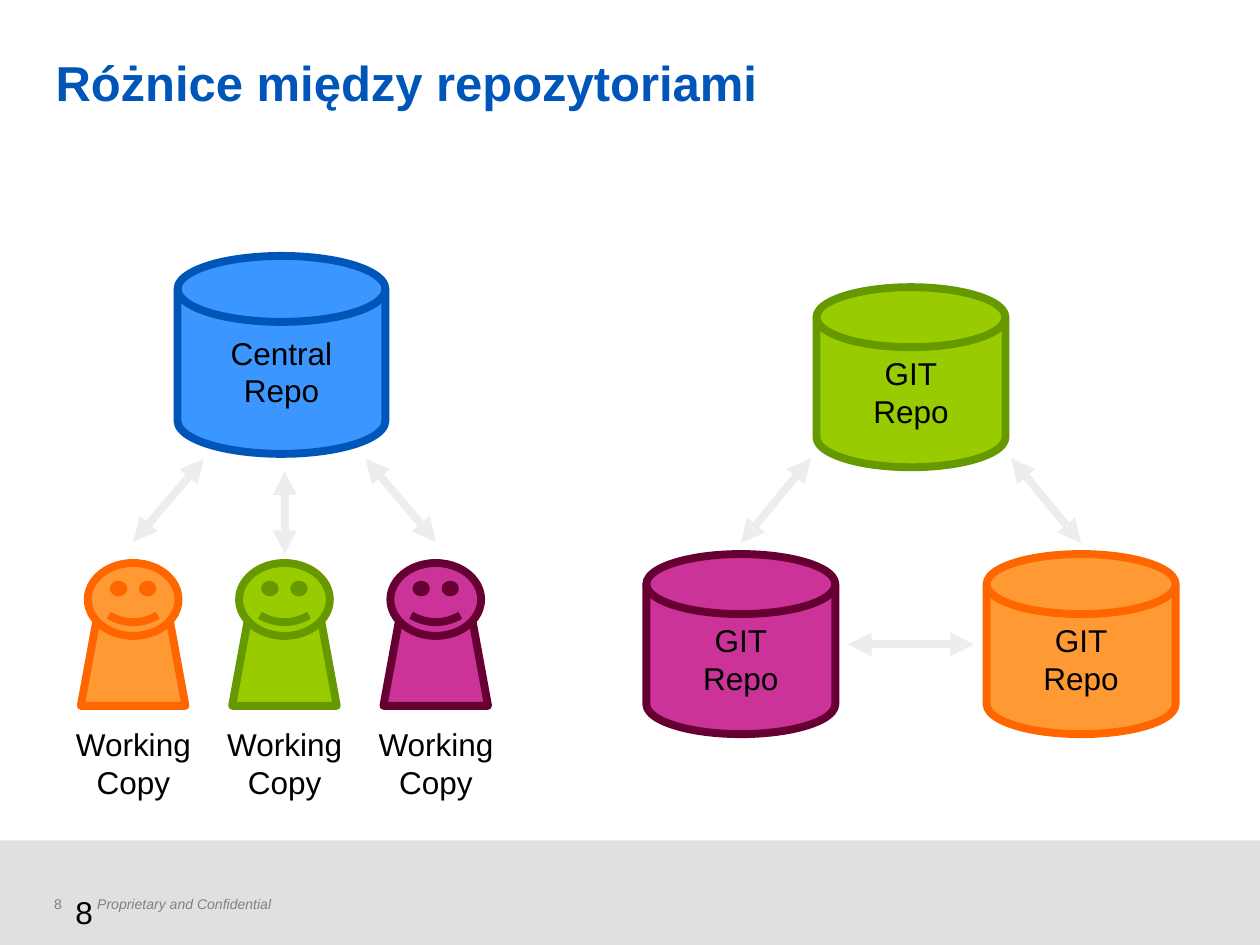
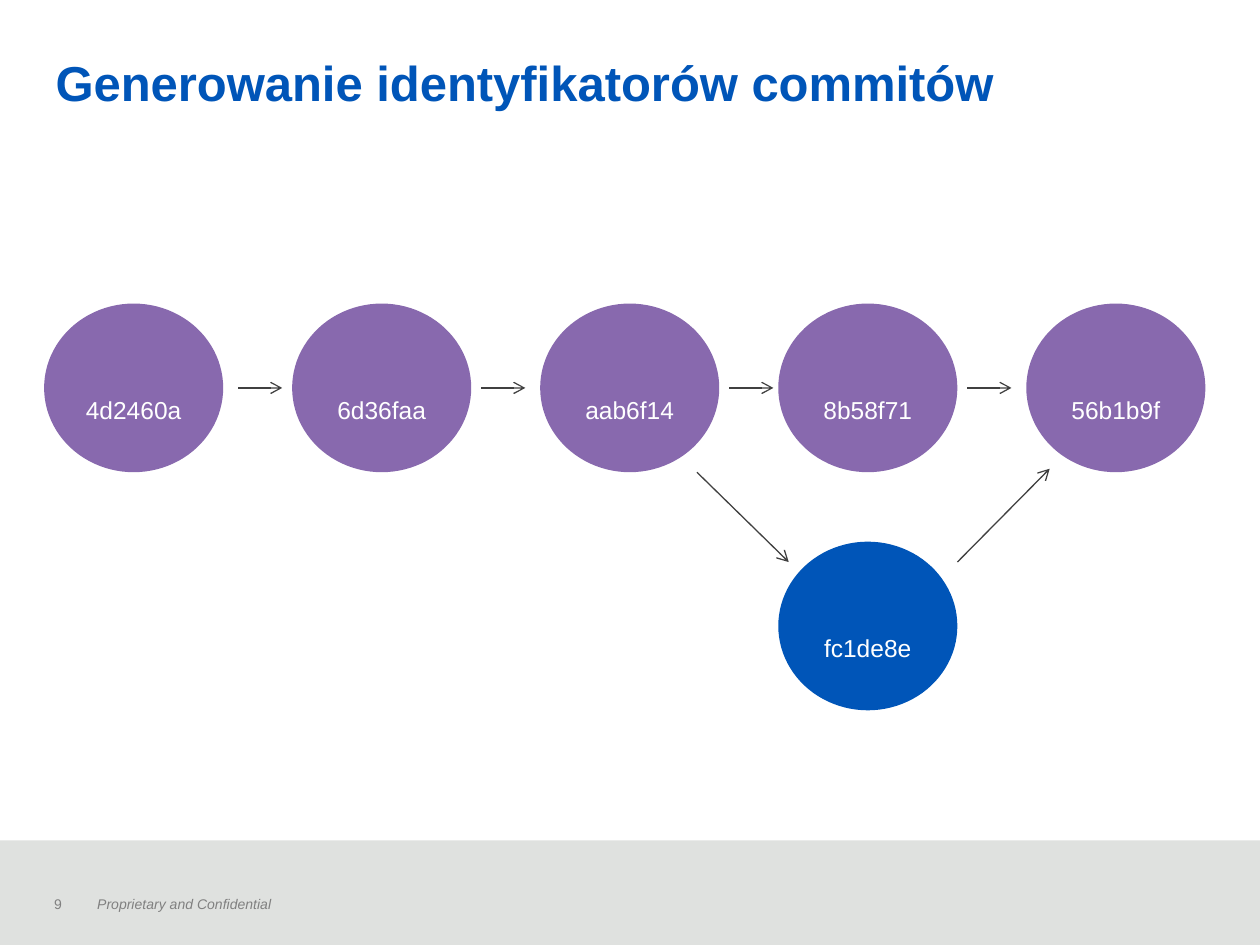
import dataclasses

import lxml.etree
import pptx
import pptx.dml.color
import pptx.enum.shapes
import pptx.enum.text
import pptx.oxml.ns
import pptx.util

Cm = pptx.util.Cm
Pt = pptx.util.Pt
Preset = pptx.enum.shapes.MSO_SHAPE
Anchor = pptx.enum.text.MSO_ANCHOR
Align = pptx.enum.text.PP_ALIGN

FONT = "Arial"
PAGE_WIDTH, PAGE_HEIGHT = 25.4, 19.05
COLOURS = {
    "title": "0055B8",
    "band": "DFE1DF",
    "footer": "808080",
    "text": "000000",
    "light_text": "FFFFFF",
    "sync_arrow": "ECEDEC",
    "commit_arrow": "404040",
    "commit": "8869AE",
    "branch_commit": "0055B8",
    "blue": "3B96FF",
    "blue_edge": "0055B8",
    "green": "99CC00",
    "green_edge": "669900",
    "orange": "FF9933",
    "orange_edge": "FF6600",
    "magenta": "CC3399",
    "magenta_edge": "660033",
}


@dataclasses.dataclass
class Box:
    """A rectangle in centimetres."""
    left: float
    top: float
    width: float
    height: float

    def inner(self, left, top, width, height):
        """Return a box whose corner is given relative to this one."""
        return Box(self.left + left, self.top + top, width, height)

    def point(self, x, y):
        return self.left + x, self.top + y

    def lengths(self):
        return [Cm(value) for value in dataclasses.astuple(self)]


def colour(name):
    return pptx.dml.color.RGBColor.from_string(COLOURS[name])


def write(frame, lines, size, colour_name, align=Align.LEFT, bold=False,
          italic=False, spacing=None):
    """Fill a text frame with one paragraph per line."""
    for index, line in enumerate(lines):
        para = frame.add_paragraph() if index else frame.paragraphs[0]
        para.alignment = align
        if spacing:
            para.line_spacing = spacing
        span = para.add_run()
        span.text = line
        span.font.name = FONT
        span.font.size = Pt(size)
        span.font.bold = bold
        span.font.italic = italic
        span.font.color.rgb = colour(colour_name)


def clear_margins(frame):
    frame.margin_left = frame.margin_right = 0
    frame.margin_top = frame.margin_bottom = 0


def add_label(page, box, lines, size, colour_name, wrap=True, margins=True,
              **style):
    label = page.shapes.add_textbox(*box.lengths())
    label.text_frame.word_wrap = wrap
    if not margins:
        clear_margins(label.text_frame)
    write(label.text_frame, lines, size, colour_name, **style)


def add_preset(page, preset, box, fill, edge=None):
    shape = page.shapes.add_shape(preset, *box.lengths())
    shape.shadow.inherit = False
    shape.fill.solid()
    shape.fill.fore_color.rgb = colour(fill)
    if edge:
        shape.line.color.rgb = colour(edge)
        shape.line.width = Pt(4.5)
    else:
        shape.line.fill.background()
    return shape


def add_arrow(page, start, end, colour_name, width, head=None, tail=None):
    arrow = page.shapes.add_connector(
        pptx.enum.shapes.MSO_CONNECTOR.STRAIGHT,
        *(Cm(value) for value in (*start, *end)))
    arrow.line.color.rgb = colour(colour_name)
    arrow.line.width = Pt(width)
    properties = arrow._element.spPr
    outline = properties.find(pptx.oxml.ns.qn("a:ln"))
    for tag, kind in (("a:headEnd", head), ("a:tailEnd", tail)):
        if kind:
            lxml.etree.SubElement(outline, pptx.oxml.ns.qn(tag), type=kind)
    lxml.etree.SubElement(properties, pptx.oxml.ns.qn("a:effectLst"))


def add_sync_arrow(page, start, end):
    add_arrow(page, start, end, "sync_arrow", 4.5, "triangle", "triangle")


def add_commit_arrow(page, start, end):
    add_arrow(page, start, end, "commit_arrow", 0.75, tail="arrow")


def add_page(deck, title, number):
    """Add a slide with the shared title, band and footer."""
    page = deck.slides.add_slide(deck.slide_layouts[5])
    add_footer(page, Box(0, 16.94, PAGE_WIDTH, PAGE_HEIGHT - 16.94), number)
    heading = page.shapes.title
    heading.left, heading.top, heading.width, heading.height = Box(
        1.12, 0.97, 23.22, 1.35).lengths()
    frame = heading.text_frame
    clear_margins(frame)
    frame.auto_size = pptx.enum.text.MSO_AUTO_SIZE.NONE
    frame.vertical_anchor = Anchor.MIDDLE
    write(frame, [title], 28, "title", bold=True)
    return page


def add_footer(page, box, number):
    add_preset(page, Preset.RECTANGLE, box, "band")
    add_label(page, box.inner(0.84, 0.99, 1.24, 0.61), [str(number)], 8,
              "footer")
    add_label(page, box.inner(1.96, 1.12, 15.67, 0.33),
              ["Proprietary and Confidential"], 8, "footer", margins=False,
              italic=True)


def add_repository(page, box, lines, hue):
    disk = add_preset(page, Preset.FLOWCHART_MAGNETIC_DISK, box, hue,
                      f"{hue}_edge")
    disk.text_frame.word_wrap = True
    disk.text_frame.vertical_anchor = Anchor.MIDDLE
    write(disk.text_frame, lines, 18, "text", Align.CENTER)


def add_user(page, box, hue):
    """Draw a figure with its working copy label below."""
    middle = box.width / 2
    body = add_preset(page, Preset.TRAPEZOID,
                      box.inner(middle - 1.06, 1.13, 2.11, 1.75),
                      hue, f"{hue}_edge")
    body.adjustments[0] = 0.183
    add_preset(page, Preset.SMILEY_FACE,
               box.inner(middle - 0.92, 0, 1.83, 1.47), hue, f"{hue}_edge")
    add_label(page, box.inner(0, 3.15, box.width, 1.8), ["Working", "Copy"],
              18, "text", wrap=False, align=Align.CENTER)


def add_central_model(page, box):
    add_repository(page, box.inner(2.34, 0, 4.19, 3.99), ["Central Repo"],
                   "blue")
    middle, pitch, user_width = box.width / 2, 3.05, 2.84
    for side, hue in zip((-1, 0, 1), ("orange", "green", "magenta")):
        centre = middle + side * pitch
        add_user(page, box.inner(centre - user_width / 2, 6.19,
                                 user_width, 4.95), hue)
        drop = 0 if side else 0.25
        add_sync_arrow(page, box.point(middle + side * 1.63, 4.09 + drop),
                       box.point(centre, 5.76 + drop))


def add_distributed_model(page, box):
    width, height = 3.81, 3.63
    middle, low = box.width / 2, box.height - height
    for left, top, hue in ((middle - width / 2, 0, "green"),
                           (0, low, "magenta"),
                           (box.width - width, low, "orange")):
        add_repository(page, box.inner(left, top, width, height),
                       ["GIT", "Repo"], hue)
    for side in (-1, 1):
        add_sync_arrow(page, box.point(middle + side * 2.02, 3.45),
                       box.point(middle + side * 3.43, 5.16))
    add_sync_arrow(page, box.point(middle - 1.27, 7.2),
                   box.point(middle + 1.27, 7.2))


def add_commit(page, box, identifier, fill):
    circle = add_preset(page, Preset.OVAL, box, fill)
    circle.text_frame.word_wrap = True
    circle.text_frame.vertical_anchor = Anchor.MIDDLE
    write(circle.text_frame, [identifier], 14, "light_text", Align.CENTER,
          spacing=2.5)


def add_commit_graph(page, box):
    width, height, arrow_length = 3.61, 3.4, 0.89
    commits = (("4d2460a", 0, 0.3), ("6d36faa", 5, 0.2), ("aab6f14", 10, 0.2),
               ("8b58f71", 14.8, 0.2), ("56b1b9f", 19.8, None))
    for identifier, left, gap in commits:
        add_commit(page, box.inner(left, 0, width, height), identifier,
                   "commit")
        if gap:
            start = left + width + gap
            add_commit_arrow(page, box.point(start, height / 2),
                             box.point(start + arrow_length, height / 2))
    add_commit(page, box.inner(14.8, box.height - height, width, height),
               "fc1de8e", "branch_commit")
    add_commit_arrow(page, box.point(13.16, 3.4), box.point(15.01, 5.21))
    add_commit_arrow(page, box.point(18.41, 5.21), box.point(20.27, 3.33))


def build_repository_page(deck, number):
    page = add_page(deck, "Różnice między repozytoriami", number)
    add_label(page, Box(1.27, 17.88, 1.27, 0.76), [str(number)], 18, "text")
    add_central_model(page, Box(1.24, 5.16, 9, 11.14))
    add_distributed_model(page, Box(13.03, 5.79, 10.67, 9.01))


def build_commit_page(deck, number):
    page = add_page(deck, "Generowanie identyfikatorów commitów", number)
    add_commit_graph(page, Box(0.89, 6.12, 23.41, 8.2))


def main():
    deck = pptx.Presentation()
    deck.slide_width, deck.slide_height = Cm(PAGE_WIDTH), Cm(PAGE_HEIGHT)
    build_repository_page(deck, 8)
    build_commit_page(deck, 9)
    deck.save("out.pptx")


if __name__ == "__main__":
    main()
